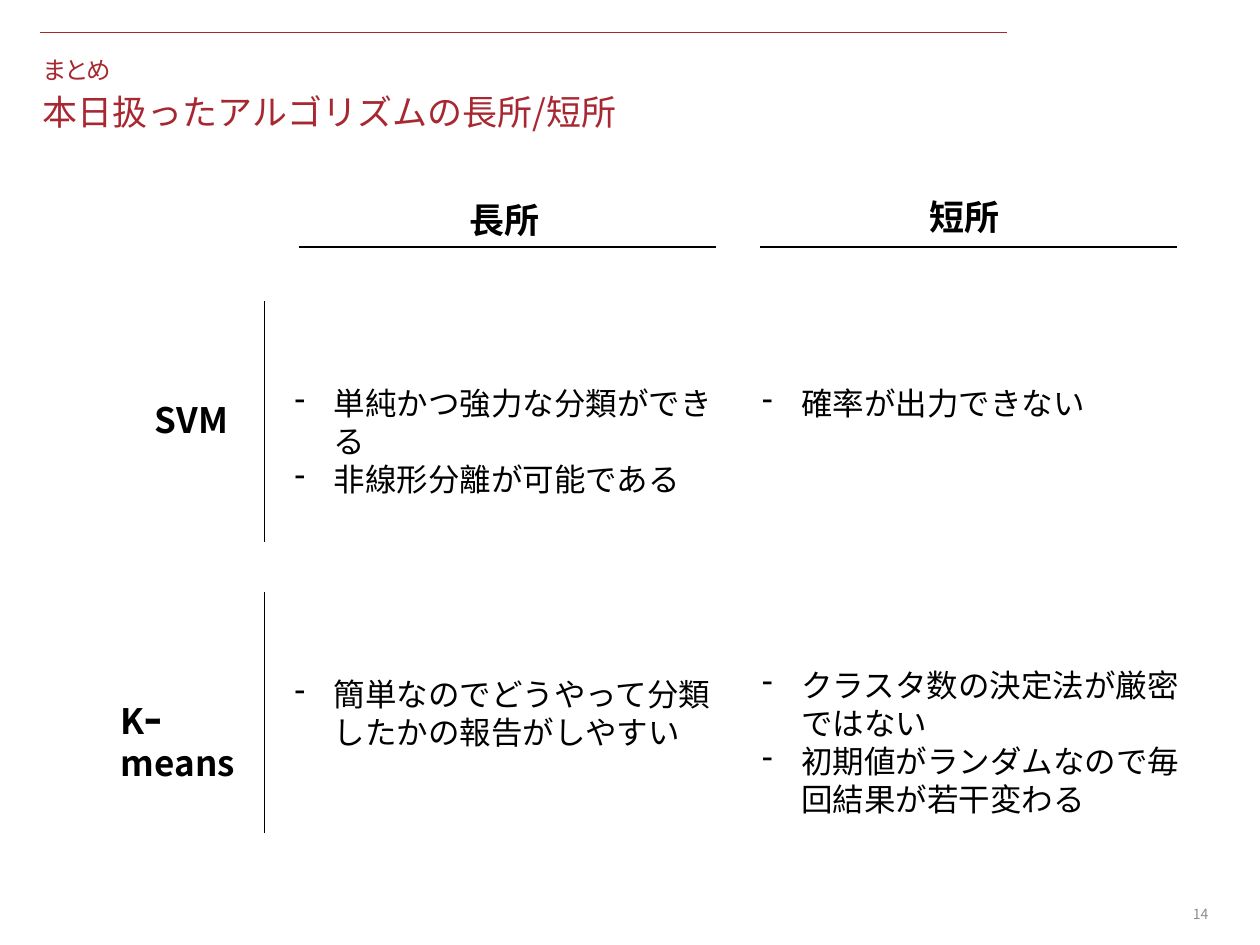
import dataclasses

import pptx
import pptx.dml.color
import pptx.enum.shapes
import pptx.enum.text
import pptx.oxml.ns
import pptx.oxml.xmlchemy
import pptx.util

ANCHOR = pptx.enum.text.MSO_ANCHOR
ALIGN = pptx.enum.text.PP_ALIGN


@dataclasses.dataclass(frozen=True)
class Theme:
    font: str = "Noto Sans CJK JP"
    accent: str = "A82831"
    ink: str = "000000"
    muted: str = "8C8C8C"
    heading: int = 20
    body: int = 18
    section: int = 14
    footer: int = 8


class SlideBuilder:
    def __init__(self, slide, theme):
        self.slide = slide
        self.theme = theme

    def line(self, x1, y1, x2, y2, color, width):
        rule = self.slide.shapes.add_connector(
            pptx.enum.shapes.MSO_CONNECTOR.STRAIGHT,
            *map(pptx.util.Inches, (x1, y1, x2, y2)))
        rule.line.color.rgb = pptx.dml.color.RGBColor.from_string(color)
        rule.line.width = pptx.util.Pt(width)
        properties = rule._element.spPr
        properties.append(pptx.oxml.xmlchemy.OxmlElement("a:effectLst"))

    def text(self, box, content, size, color, bold=False,
             anchor=ANCHOR.TOP, align=ALIGN.LEFT, spacing=None):
        label = self.slide.shapes.add_textbox(*map(pptx.util.Inches, box))
        frame = label.text_frame
        frame.word_wrap = True
        frame.vertical_anchor = anchor
        frame.text = content
        for paragraph in frame.paragraphs:
            paragraph.alignment = align
            paragraph.line_spacing = spacing
            for run in paragraph.runs:
                self.style(run, size, color, bold)
        return frame

    def style(self, run, size, color, bold):
        run.font.size = pptx.util.Pt(size)
        run.font.bold = bold
        run.font.name = self.theme.font
        run.font.color.rgb = pptx.dml.color.RGBColor.from_string(color)
        east_asian = pptx.oxml.xmlchemy.OxmlElement("a:ea")
        east_asian.set("typeface", self.theme.font)
        latin = run.font._element.find(pptx.oxml.ns.qn("a:latin"))
        latin.addnext(east_asian)

    def bullets(self, box, points):
        frame = self.text(box, "\n".join(points), self.theme.body, self.theme.ink)
        indent = pptx.util.Inches(0.31)
        for paragraph in frame.paragraphs:
            properties = paragraph._p.get_or_add_pPr()
            properties.set("marL", str(indent))
            properties.set("indent", str(-indent))
            dash = pptx.oxml.xmlchemy.OxmlElement("a:buChar")
            dash.set("char", "-")
            properties.append(dash)


theme = Theme()
deck = pptx.Presentation()
deck.slide_width = pptx.util.Inches(10)
deck.slide_height = pptx.util.Inches(7.5)
summary = SlideBuilder(deck.slides.add_slide(deck.slide_layouts[6]), theme)

# Title area and page number
summary.line(0.32, 0.26, 7.99, 0.26, theme.accent, 0.5)
summary.text((0.24, 0.55, 9.58, 0.63), "本日扱ったアルゴリズムの長所/短所",
             theme.heading, theme.accent, anchor=ANCHOR.MIDDLE, spacing=1.1)
section = summary.text((0.24, 0.44, 9.46, 0.22), "まとめ",
                       theme.section, theme.accent, anchor=ANCHOR.MIDDLE)
section.paragraphs[0].runs[0].font._element.set("spc", "-150")
summary.text((7.36, 7.12, 2.33, 0.27), "14", theme.footer, theme.muted,
             anchor=ANCHOR.MIDDLE, align=ALIGN.RIGHT)

# Column headings, each over a rule
RULE_WIDTH = 3.31
for rule_left, heading, heading_box in (
        (2.37, "長所", (3.63, 1.53, 0.81, 0.44)),
        (6.03, "短所", (7.28, 1.5, 0.94, 0.44))):
    summary.line(rule_left, 1.96, rule_left + RULE_WIDTH, 1.96, theme.ink, 1)
    summary.text(heading_box, heading, theme.heading, theme.ink, bold=True)

# Row labels, each beside a rule
RULE_HEIGHT = 1.91
for rule_top, algorithm, label_box in (
        (2.39, "SVM", (1.13, 3.11, 0.84, 0.44)),
        (4.7, "Kｰmeans", (0.86, 5.5, 1.4, 0.44))):
    summary.line(2.1, rule_top, 2.1, rule_top + RULE_HEIGHT, theme.ink, 1)
    summary.text(label_box, algorithm, theme.heading, theme.ink, bold=True)

# Strengths on the left, weaknesses on the right
STRENGTHS, WEAKNESSES = 2.24, 5.95
for left, top, height, points in (
        (STRENGTHS, 3, 0.71, ("単純かつ強力な分類ができる", "非線形分離が可能である")),
        (WEAKNESSES, 3, 0.4, ("確率が出力できない",)),
        (STRENGTHS, 5.31, 0.71, ("簡単なのでどうやって分類したかの報告がしやすい",)),
        (WEAKNESSES, 5.24, 1.31, ("クラスタ数の決定法が厳密ではない",
                                  "初期値がランダムなので毎回結果が若干変わる"))):
    summary.bullets((left, top, 3.69, height), points)

deck.save("out.pptx")
